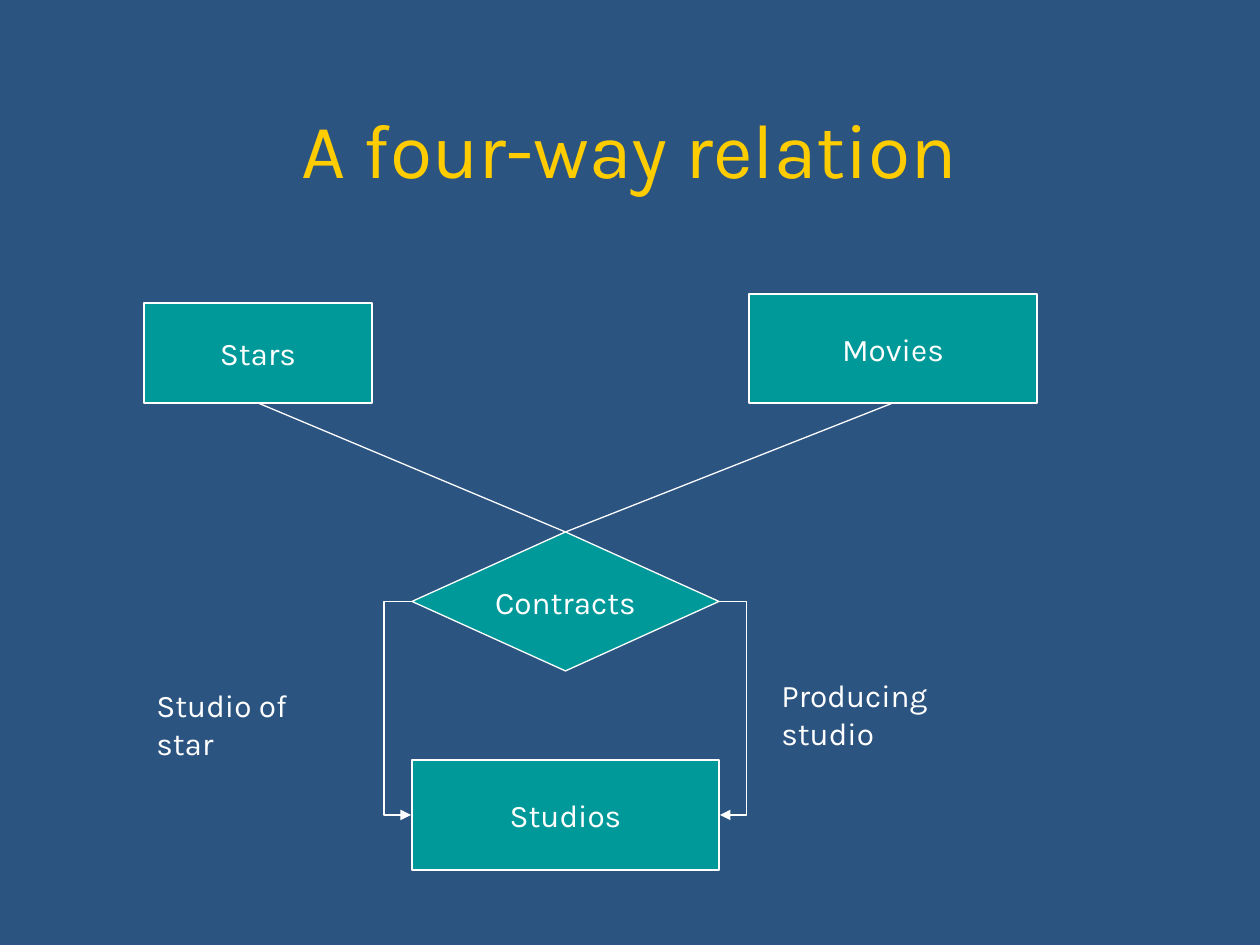
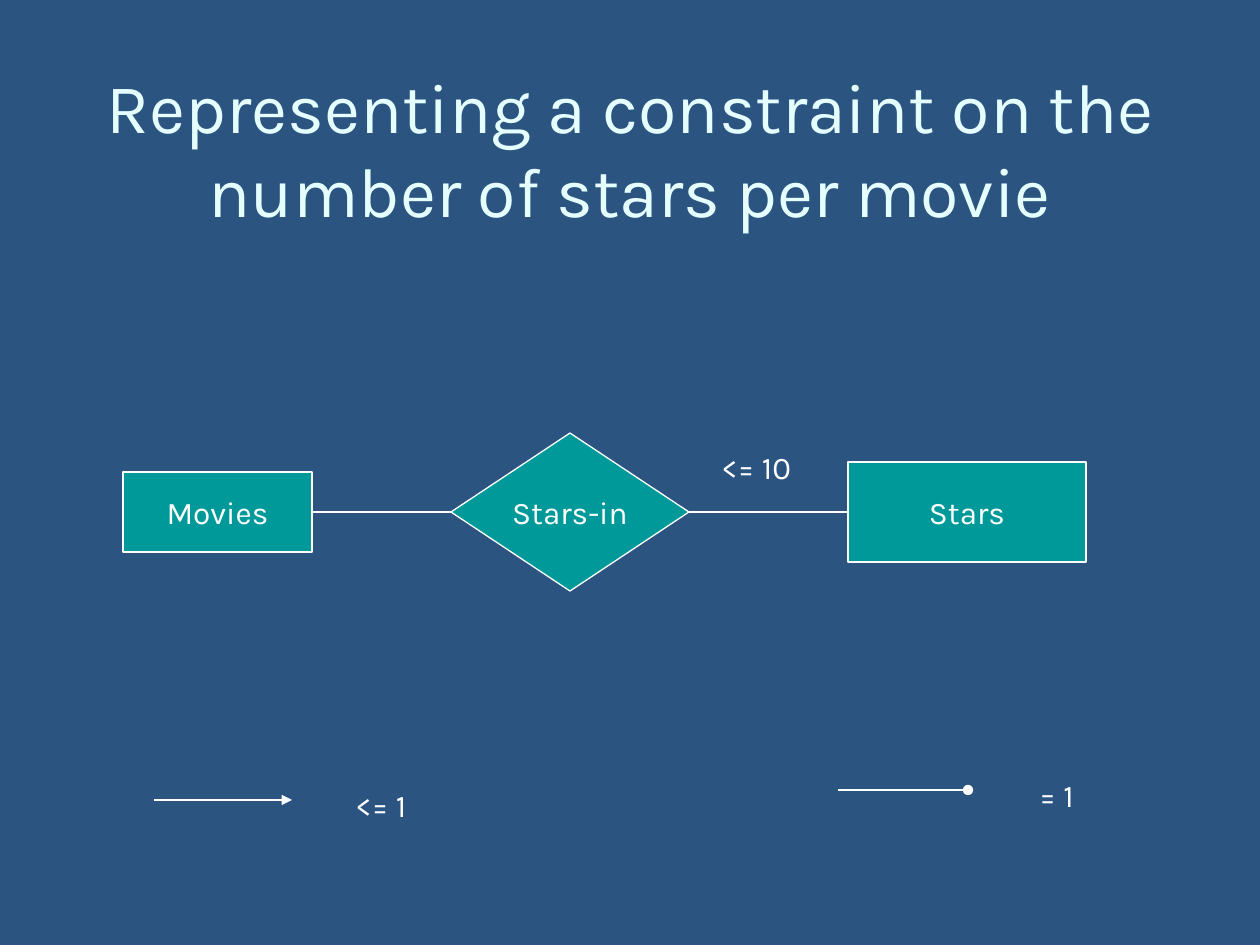
from dataclasses import dataclass

from pptx import Presentation
from pptx import util as u
from pptx.dml.color import RGBColor
from pptx.enum import shapes, text
from pptx.oxml.ns import qn
from lxml import etree

PX = 914400 / 126  # EMU per px
TOP, LEFT, BOTTOM, RIGHT = range(4)  # connection sites
RECT = shapes.MSO_SHAPE.RECTANGLE
DIAMOND = shapes.MSO_SHAPE.FLOWCHART_DECISION


@dataclass(frozen=True)
class Theme:
    font: str = "Karla"
    background: str = "2B5481"
    gold: str = "FFCC00"
    pale: str = "E5FFFF"
    node: str = "009999"
    ink: str = "FFFFFF"
    body: int = 18
    line: float = 0.75


T = Theme()


def px(*lengths):
    return [round(n * PX) for n in lengths]


def rgb(value):
    return RGBColor.from_string(value)


def style(p, size, color, align):
    p.font.name, p.font.size = T.font, u.Pt(size)
    p.font.color.rgb = rgb(color)
    p.alignment = align


def outline(sp):
    sp.line.color.rgb = rgb(T.ink)
    sp.line.width = u.Pt(T.line)


# Title
def titled_slide(prs, title, size, color):
    slide = prs.slides.add_slide(prs.slide_layouts[5])
    sp = slide.shapes.title
    sp.left, sp.top, sp.width, sp.height = px(63, 53, 1134, 189)
    tf = sp.text_frame
    tf.text = title
    tf.auto_size = text.MSO_AUTO_SIZE.NONE
    tf.vertical_anchor = text.MSO_ANCHOR.MIDDLE
    style(tf.paragraphs[0], size, color, text.PP_ALIGN.CENTER)
    return slide


# Diagram parts
def node(slide, kind, name, x, y, w, h):
    sp = slide.shapes.add_shape(kind, *px(x, y, w, h))
    sp.shadow.inherit = False
    sp.fill.solid()
    sp.fill.fore_color.rgb = rgb(T.node)
    outline(sp)
    tf = sp.text_frame
    tf.text = name
    tf.word_wrap = False
    tf.vertical_anchor = text.MSO_ANCHOR.MIDDLE
    style(tf.paragraphs[0], T.body, T.ink, text.PP_ALIGN.CENTER)
    return sp


def label(slide, words, x, y, w):
    tf = slide.shapes.add_textbox(*px(x, y, w, 50)).text_frame
    tf.text = words
    tf.word_wrap = True
    tf.auto_size = text.MSO_AUTO_SIZE.SHAPE_TO_FIT_TEXT
    style(tf.paragraphs[0], T.body, T.ink, text.PP_ALIGN.LEFT)


def line(slide, kind=shapes.MSO_CONNECTOR.STRAIGHT, ends=(0, 0, 0, 0), tail=None):
    cx = slide.shapes.add_connector(kind, *px(*ends))
    outline(cx)
    if tail:
        etree.SubElement(cx.line._get_or_add_ln(), qn("a:tailEnd"), type=tail)
    etree.SubElement(cx._element.spPr, qn("a:effectLst"))
    return cx


def link(slide, start, start_site, end, end_site):
    cx = line(slide)
    cx.begin_connect(start, start_site)
    cx.end_connect(end, end_site)


def loop(slide, start, end, site, reach=28):
    """Arrow that leaves and enters on the same side, reach px outside."""
    cx = line(slide, shapes.MSO_CONNECTOR.ELBOW, tail="triangle")
    cx.begin_connect(start, site)
    cx.end_connect(end, site)
    step = round(PX)  # one px of width, so the bend can be a multiple of it
    cx.end_x = cx.begin_x + (step if site == RIGHT else -step)
    guides = cx._element.spPr.find(qn("a:prstGeom")).get_or_add_avLst()
    etree.SubElement(guides, qn("a:gd"), name="adj1", fmla=f"val {reach * 100000}")


# Regions
def contracts_diagram(slide, x, y):
    stars = node(slide, RECT, "Stars", x, y + 9, 228, 100)
    movies = node(slide, RECT, "Movies", x + 605, y, 288, 109)
    studios = node(slide, RECT, "Studios", x + 268, y + 466, 307, 110)
    contracts = node(slide, DIAMOND, "Contracts", x + 268, y + 238, 307, 139)
    for site in (RIGHT, LEFT):
        loop(slide, contracts, studios, site)
    for entity in (movies, stars):
        link(slide, entity, BOTTOM, contracts, TOP)
    label(slide, "Producing studio", x + 625, y + 376, 256)
    label(slide, "Studio of star", x, y + 386, 212)


def stars_in_diagram(slide, x, y):
    movies = node(slide, RECT, "Movies", x, y + 39, 189, 80)
    stars = node(slide, RECT, "Stars", x + 725, y + 29, 238, 100)
    stars_in = node(slide, DIAMOND, "Stars-in", x + 328, y, 238, 158)
    link(slide, movies, RIGHT, stars_in, LEFT)
    link(slide, stars_in, RIGHT, stars, LEFT)
    label(slide, "<= 10", x + 586, y + 9, 118)


def legend_entry(slide, x, y, length, tail, meaning, width):
    line(slide, ends=(x, y, x + length, y), tail=tail)
    label(slide, meaning, x + 189, y - 20, width)


def main():
    prs = Presentation()
    prs.slide_width, prs.slide_height = px(1260, 945)
    fill = prs.slide_master.background.fill
    fill.solid()
    fill.fore_color.rgb = rgb(T.background)

    slide = titled_slide(prs, "A four-way relation", 44, T.gold)
    contracts_diagram(slide, 144, 294)

    slide = titled_slide(
        prs, "Representing a constraint on the number of stars per movie", 40, T.pale)
    stars_in_diagram(slide, 123, 433)
    legend_entry(slide, 154, 800, 138, "triangle", "<= 1", 139)
    legend_entry(slide, 838, 790, 130, "oval", "= 1", 76)

    prs.save("out.pptx")


if __name__ == "__main__":
    main()
